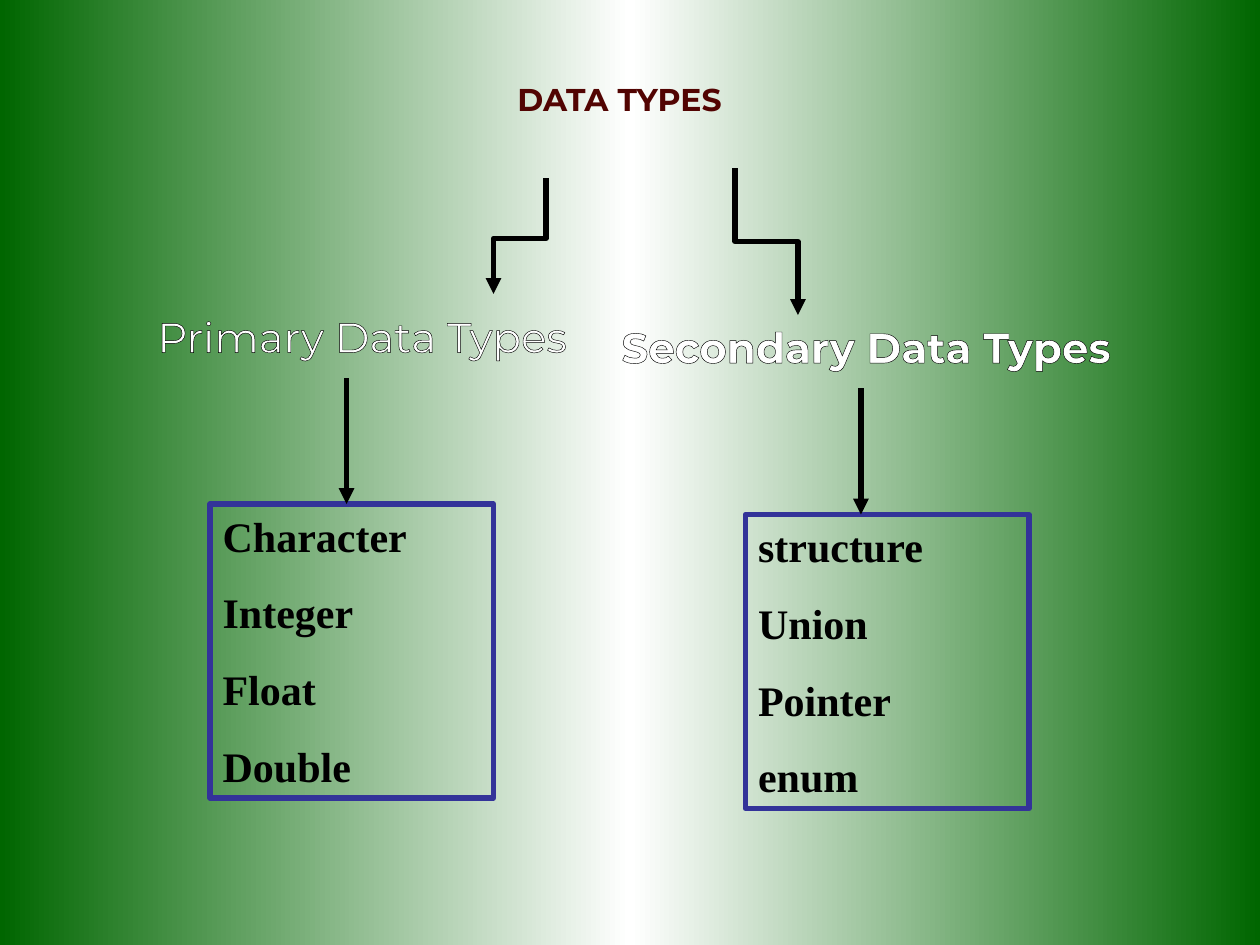
from copy import deepcopy
from lxml.etree import SubElement
from pptx import Presentation
from pptx.dml.color import RGBColor
from pptx.enum.shapes import MSO_CONNECTOR as LINK
from pptx.enum.text import MSO_ANCHOR, MSO_AUTO_SIZE, PP_ALIGN
from pptx.oxml.ns import qn
from pptx.util import Pt

TITLE = ("DATA TYPES", (150, 42, 408, 51))
BRANCHES = [
    {"label": "Primary Data Types", "bold": False, "label_at": (78.5, 174, 257, 48),
     "items": ["Character", "Integer", "Float", "Double"], "list_at": (120, 288, 162, 168),
     "elbow": ((312, 102), (282, 168), 0.52), "arrow_x": 198},
    {"label": "Secondary Data Types", "bold": True, "label_at": (366.5, 180, 257, 52),
     "items": ["structure", "Union", "Pointer", "enum"], "list_at": (426, 294, 162, 168),
     "elbow": ((420, 96), (456, 180), 0.5), "arrow_x": 492},
]
ARROW_LENGTH = 72
GREEN, WHITE, BLACK, BLUE = "006600", "FFFFFF", "000000", "333399"
MAROON, GOLD, GREY = "520402", "FFCC00", "B2B2B2"


def paint(color, value):
    """Set a colour from a hex string."""
    color.rgb = RGBColor.from_string(value)


def gradient(fill, values, angle):
    """Fill with evenly spaced gradient stops."""
    fill.gradient()
    fill.gradient_angle = angle
    stop_list = fill.gradient_stops[0]._gs.getparent()
    for _ in values[2:]:
        stop_list.append(deepcopy(stop_list[-1]))
    for number, (stop, value) in enumerate(zip(fill.gradient_stops, values)):
        stop.position = number / (len(values) - 1)
        paint(stop.color, value)


def place(shape, at):
    """Move and size a shape in points."""
    shape.left, shape.top, shape.width, shape.height = map(Pt, at)


def style(span, name, size, bold):
    """Set the font of a run."""
    span.font.name, span.font.size, span.font.bold = name, Pt(size), bold


def outline(span, value, width):
    """Draw a line around the letters of a run."""
    properties = span.font._element if hasattr(span.font, "_element") else span._r.get_or_add_rPr()
    line = SubElement(properties, qn("a:ln"), w=str(Pt(width)))
    fill = SubElement(line, qn("a:solidFill"))
    SubElement(fill, qn("a:srgbClr"), val=value)
    properties.insert(0, line)


def set_heading(shape, text, at, size, bold):
    """Write one centred, unwrapped line and return its run."""
    place(shape, at)
    frame = shape.text_frame
    frame.text = text
    frame.word_wrap = False
    frame.auto_size = MSO_AUTO_SIZE.NONE
    frame.vertical_anchor = MSO_ANCHOR.TOP
    para = frame.paragraphs[0]
    para.alignment = PP_ALIGN.CENTER
    style(para.runs[0], "Montserrat", size, bold)
    return para.runs[0]


def set_list(box, items, at):
    """Fill a framed box with plain list lines."""
    place(box, at)
    paint_line(box.line, BLUE)
    frame = box.text_frame
    frame.text = "\n".join(items)
    frame.auto_size = MSO_AUTO_SIZE.NONE
    for number, para in enumerate(frame.paragraphs):
        properties = para._p.get_or_add_pPr()
        properties.set("marL", "0")
        properties.set("indent", "0")
        SubElement(properties, qn("a:buNone"))
        para.space_before = Pt(15 if number else 0)
        style(para.runs[0], "Times New Roman", 24, True)
        paint(para.runs[0].font.color, BLACK)


def paint_line(line, value):
    """Give a line its colour and width."""
    paint(line.color, value)
    line.width = Pt(3)


def add_arrow(page, kind, start, end):
    """Add a black connector with an arrowhead at its end."""
    arrow = page.shapes.add_connector(kind, *map(Pt, start + end))
    paint_line(arrow.line, BLACK)
    SubElement(arrow.line._get_or_add_ln(), qn("a:tailEnd"), type="triangle")
    SubElement(arrow.element.spPr, qn("a:effectLst"))
    return arrow


def add_elbow(page, start, end, bend):
    """Add an elbow that leaves and arrives vertically."""
    (x1, y1), (x2, y2) = start, end
    middle_x, middle_y = (x1 + x2) / 2, (y1 + y2) / 2
    half_length, half_width = (y2 - y1) / 2, abs(x2 - x1) / 2
    side = 1 if x2 > x1 else -1
    arrow = add_arrow(page, LINK.ELBOW,
                      (middle_x + side * half_length, middle_y - half_width),
                      (middle_x - side * half_length, middle_y + half_width))
    properties = arrow.element.spPr
    properties.find(qn("a:xfrm")).set("rot", str((270 if side > 0 else 90) * 60000))
    guides = properties.find(qn("a:prstGeom")).find(qn("a:avLst"))
    SubElement(guides, qn("a:gd"), name="adj1", fmla=f"val {round(bend * 100000)}")


def main():
    deck = Presentation()
    deck.slide_width, deck.slide_height = Pt(720), Pt(540)
    page = deck.slides.add_slide(deck.slide_layouts[3])
    gradient(page.background.fill, [GREEN, WHITE, GREEN], 180)

    span = set_heading(page.shapes.title, *TITLE, 18, True)
    gradient(span.font.fill, [MAROON, GOLD], 270)
    outline(span, GREY, 1)

    for number, branch in enumerate(BRANCHES, 1):
        label = page.shapes.add_textbox(0, 0, 0, 0)
        span = set_heading(label, branch["label"], branch["label_at"], 24, branch["bold"])
        paint(span.font.color, WHITE)
        outline(span, BLACK, 0.75)
        set_list(page.placeholders[number], branch["items"], branch["list_at"])
        add_elbow(page, *branch["elbow"])
        x, list_top = branch["arrow_x"], branch["list_at"][1]
        add_arrow(page, LINK.STRAIGHT, (x, list_top - ARROW_LENGTH), (x, list_top))
    deck.save("out.pptx")


if __name__ == "__main__":
    main()
